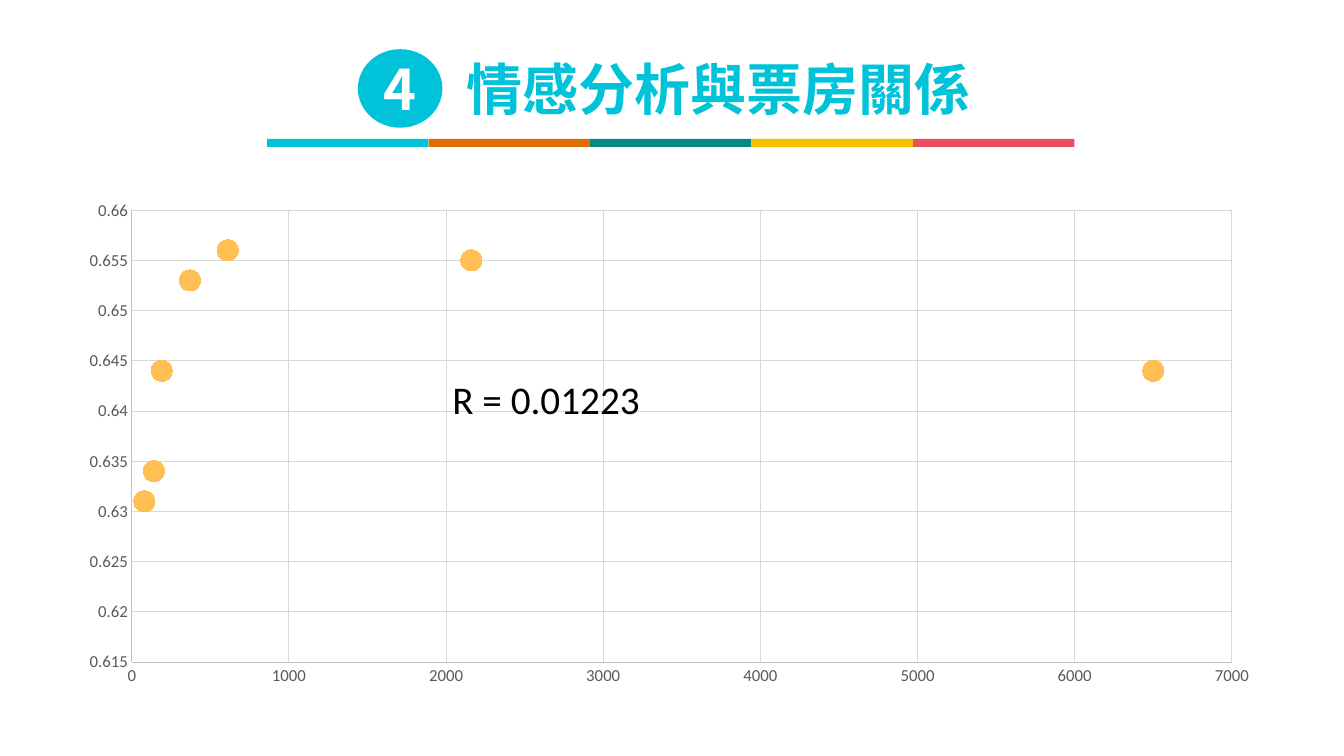
from lxml import etree
from pptx import Presentation, chart as charts
from pptx import util as u
from pptx.chart import data as chart_data
from pptx.dml import color
from pptx.enum import chart as ce, shapes, text
from pptx.oxml import ns

COLORS = {
    "cyan": "00C3D9", "orange": "DE6E00", "teal": "028985", "yellow": "F3C301",
    "red": "E94E60", "marker": "FFBF53", "white": "FFFFFF", "black": "000000",
    "label": "595959", "axis": "BFBFBF", "grid": "D9D9D9",
}
HEADING_FONT = "Noto Sans CJK SC"
BODY_FONT = "Calibri"


def rgb(name):
    return color.RGBColor.from_string(COLORS[name])


def write(shape, words, size, font, ink, bold=False, align=text.PP_ALIGN.CENTER):
    """Put one styled run in a shape, with the font set for Latin and East Asian text."""
    frame = shape.text_frame
    frame.word_wrap = True
    frame.auto_size = text.MSO_AUTO_SIZE.NONE
    frame.vertical_anchor = text.MSO_ANCHOR.MIDDLE
    para = frame.paragraphs[0]
    para.alignment = align
    span = para.add_run()
    span.text = words
    span.font.size = u.Pt(size)
    span.font.bold = bold
    span.font.name = font
    span.font.color.rgb = rgb(ink)
    etree.SubElement(span.font._element, ns.qn("a:ea"), typeface=font)


deck = Presentation()
deck.slide_width, deck.slide_height = u.Cm(33.87), u.Cm(19.05)
page = deck.slides.add_slide(deck.slide_layouts[5])

# Heading: numbered badge and title
title = page.shapes.title
title.left, title.top, title.width, title.height = u.Cm(11.4), u.Cm(1.27), u.Cm(13.41), u.Cm(1.88)
title.text_frame.margin_left = title.text_frame.margin_right = u.Cm(0.2)
title.text_frame.margin_top = title.text_frame.margin_bottom = u.Cm(0.1)
write(title, "情感分析與票房關係", 40, HEADING_FONT, "cyan", bold=True)

badge = page.shapes.add_shape(shapes.MSO_SHAPE.OVAL, u.Cm(9.02), u.Cm(1.24), u.Cm(2.13), u.Cm(1.98))
badge.shadow.inherit = False
badge.fill.solid()
badge.fill.fore_color.rgb = rgb("cyan")
badge.line.fill.background()
badge.text_frame.margin_left = badge.text_frame.margin_right = 0
write(badge, "4", 40, HEADING_FONT, "white", bold=True)

# Five-colour rule under the heading
BAR_WIDTH = 4.07
for index, name in enumerate(["cyan", "orange", "teal", "yellow", "red"]):
    bar = page.shapes.add_shape(shapes.MSO_SHAPE.RECTANGLE, u.Cm(6.73 + index * BAR_WIDTH),
                                u.Cm(3.5), u.Cm(BAR_WIDTH), u.Cm(0.2))
    bar.shadow.inherit = False
    bar.fill.solid()
    bar.fill.fore_color.rgb = rgb(name)
    bar.line.fill.background()

# Box office (x) against sentiment score (y)
points = [(6500, 0.644), (2160, 0.655), (610, 0.656), (370, 0.653),
          (190, 0.644), (140, 0.634), (80, 0.631)]
scores = chart_data.XyChartData()
series_data = scores.add_series("Series 1")
for box_office, score in points:
    series_data.add_data_point(box_office, score)
chart = page.shapes.add_chart(ce.XL_CHART_TYPE.XY_SCATTER, u.Cm(1.68), u.Cm(4.8),
                              u.Cm(30.4), u.Cm(12.78), scores).chart
chart.has_title = False
chart.has_legend = False
chart.font.name = BODY_FONT
chart.font.size = u.Pt(10)
chart.plots[0].vary_by_categories = False

series = chart.plots[0].series[0]
series.format.line.fill.background()
series.marker.style = ce.XL_MARKER_STYLE.CIRCLE
series.marker.size = 15
series.marker.format.fill.solid()
series.marker.format.fill.fore_color.rgb = rgb("marker")
series.marker.format.line.fill.background()

for axis, low, high, step in [(chart.category_axis, 0, 7000, 1000),
                              (chart.value_axis, 0.615, 0.66, 0.005)]:
    axis.minimum_scale, axis.maximum_scale, axis.major_unit = low, high, step
    axis.major_tick_mark = axis.minor_tick_mark = ce.XL_TICK_MARK.NONE
    axis.has_major_gridlines = True
    for line, ink in [(axis.format.line, "axis"), (axis.major_gridlines.format.line, "grid")]:
        line.color.rgb = rgb(ink)
        line.width = u.Pt(0.75)
    labels = axis.tick_labels
    labels.number_format = "General"
    labels.number_format_is_linked = False
    labels.font.name = BODY_FONT
    labels.font.size = u.Pt(12)
    labels.font.color.rgb = rgb("label")

# Fix the inner plot area as fractions of the chart
plot_area = chart._chartSpace.chart.plotArea
for old_layout in plot_area.findall(ns.qn("c:layout")):
    plot_area.remove(old_layout)
layout = etree.Element(ns.qn("c:layout"))
plot_area.insert(0, layout)
manual = etree.SubElement(layout, ns.qn("c:manualLayout"))
for tag, value in [("layoutTarget", "inner"), ("xMode", "edge"), ("yMode", "edge"),
                   ("x", "0.054"), ("y", "0.039"), ("w", "0.912"), ("h", "0.891")]:
    etree.SubElement(manual, ns.qn("c:" + tag), val=value)

note = page.shapes.add_textbox(u.Cm(11.15), u.Cm(9.32), u.Cm(5.36), u.Cm(1.45))
write(note, "R = 0.01223", 28, BODY_FONT, "black", align=text.PP_ALIGN.LEFT)

deck.save("out.pptx")
